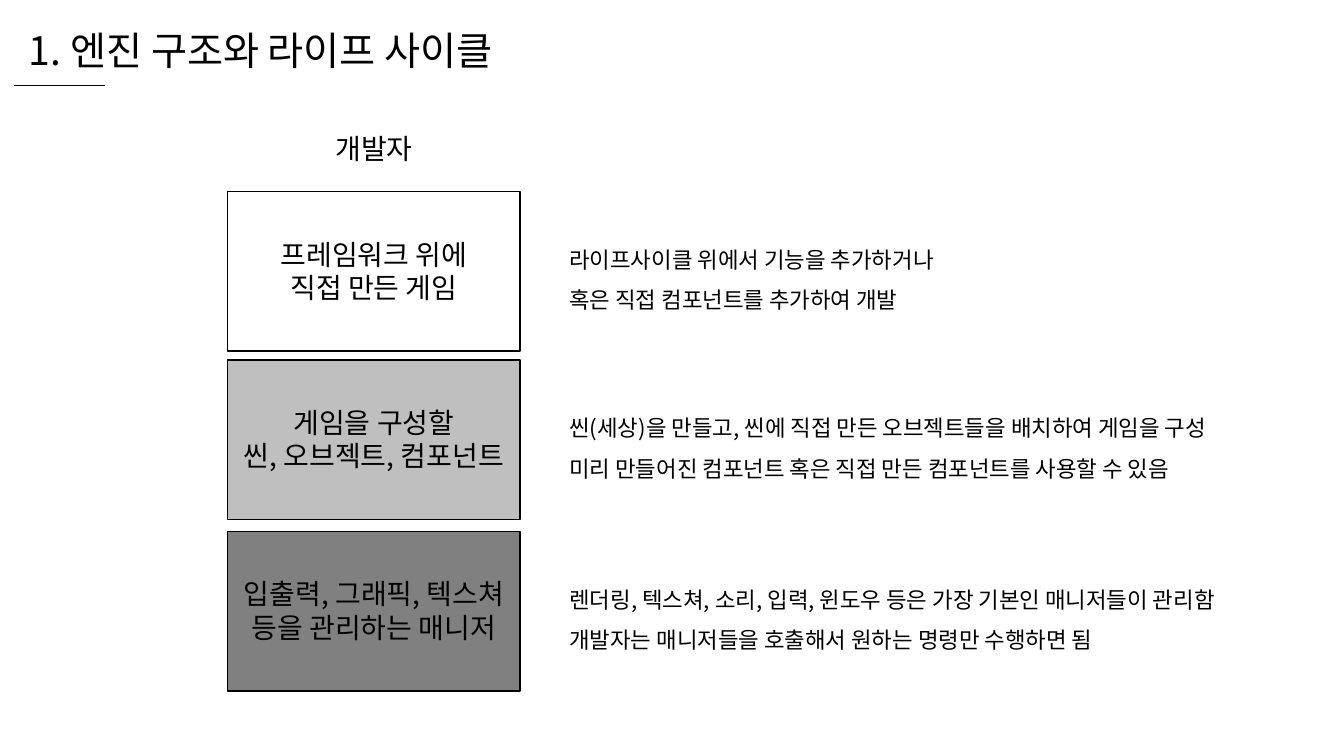
from lxml import etree
from pptx import Presentation
from pptx.dml.color import RGBColor
from pptx.enum.shapes import MSO_CONNECTOR, MSO_SHAPE
from pptx.enum.text import MSO_AUTO_SIZE, PP_ALIGN
from pptx.oxml.ns import qn
from pptx.util import Cm, Pt

FONT = "Noto Sans CJK KR"
COLORS = {"ink": "000000", "game": "FFFFFF", "parts": "BFBFBF", "managers": "808080"}
LABEL = {"alignment": PP_ALIGN.CENTER}
DETAIL = {"line_spacing": 1.5}


def rgb(name):
    return RGBColor.from_string(COLORS[name])


def add_text(shapes, box, lines, size, para_format, wrap=True):
    """Add a text box with one paragraph per line."""
    tf = shapes.add_textbox(*(Cm(v) for v in box)).text_frame
    tf.word_wrap = wrap
    tf.auto_size = MSO_AUTO_SIZE.SHAPE_TO_FIT_TEXT
    for i, line in enumerate(lines):
        p = tf.add_paragraph() if i else tf.paragraphs[0]
        for name, value in para_format.items():
            setattr(p, name, value)
        r = p.add_run()
        r.text = line
        for name, value in {"size": Pt(size), "name": FONT}.items():
            setattr(r.font, name, value)
        r.font.color.rgb = rgb("ink")
        # Hangul takes its typeface from a:ea
        etree.SubElement(r.font._element, qn("a:ea"), typeface=FONT)


prs = Presentation()
prs.slide_width, prs.slide_height = Cm(33.87), Cm(19.05)
s = prs.slides.add_slide(prs.slide_layouts[6])

# Title and its rule
add_text(s.shapes, (0.48, 0.53, 12.88, 1.45), ["1. 엔진 구조와 라이프 사이클"], 28, {}, wrap=False)
rule = s.shapes.add_connector(MSO_CONNECTOR.STRAIGHT, Cm(0.36), Cm(2.16), Cm(2.64), Cm(2.16))
rule.line.width = Pt(0.5)
rule.line.color.rgb = rgb("ink")
etree.SubElement(rule._element.spPr, qn("a:effectLst"))

# Engine layers: top, fill, label width, label, detail width, detail
LAYERS = [
    (4.83, "game", 5.38, ["프레임워크 위에", "직접 만든 게임"],
     10.08, ["라이프사이클 위에서 기능을 추가하거나", "혹은 직접 컴포넌트를 추가하여 개발"]),
    (9.07, "parts", 7.54, ["게임을 구성할", "씬, 오브젝트, 컴포넌트"],
     17.35, ["씬(세상)을 만들고, 씬에 직접 만든 오브젝트들을 배치하여 게임을 구성",
             "미리 만들어진 컴포넌트 혹은 직접 만든 컴포넌트를 사용할 수 있음"]),
    (13.39, "managers", 7.34, ["입출력, 그래픽, 텍스쳐", "등을 관리하는 매니저"],
     17.6, ["렌더링, 텍스쳐, 소리, 입력, 윈도우 등은 가장 기본인 매니저들이 관리함",
            "개발자는 매니저들을 호출해서 원하는 명령만 수행하면 됨"]),
]
LEFT, WIDTH, HEIGHT = 5.74, 7.37, 4.02
CENTER = LEFT + WIDTH / 2

add_text(s.shapes, (CENTER - 1.26, 3.2, 2.52, 1.11), ["개발자"], 20, LABEL, wrap=False)

for top, fill, label_width, label, detail_width, detail in LAYERS:
    group = s.shapes.add_group_shape()
    sp = group.shapes.add_shape(MSO_SHAPE.RECTANGLE, Cm(LEFT), Cm(top), Cm(WIDTH), Cm(HEIGHT))
    sp.shadow.inherit = False
    sp.fill.solid()
    sp.fill.fore_color.rgb = rgb(fill)
    sp.line.color.rgb = rgb("ink")
    sp.line.width = Pt(1)
    add_text(group.shapes, (CENTER - label_width / 2, top + 1.02, label_width, 1.96), label, 20, LABEL)
    add_text(s.shapes, (14.1, top + 0.91, detail_width, 2.18), detail, 16, DETAIL)

prs.save("out.pptx")
